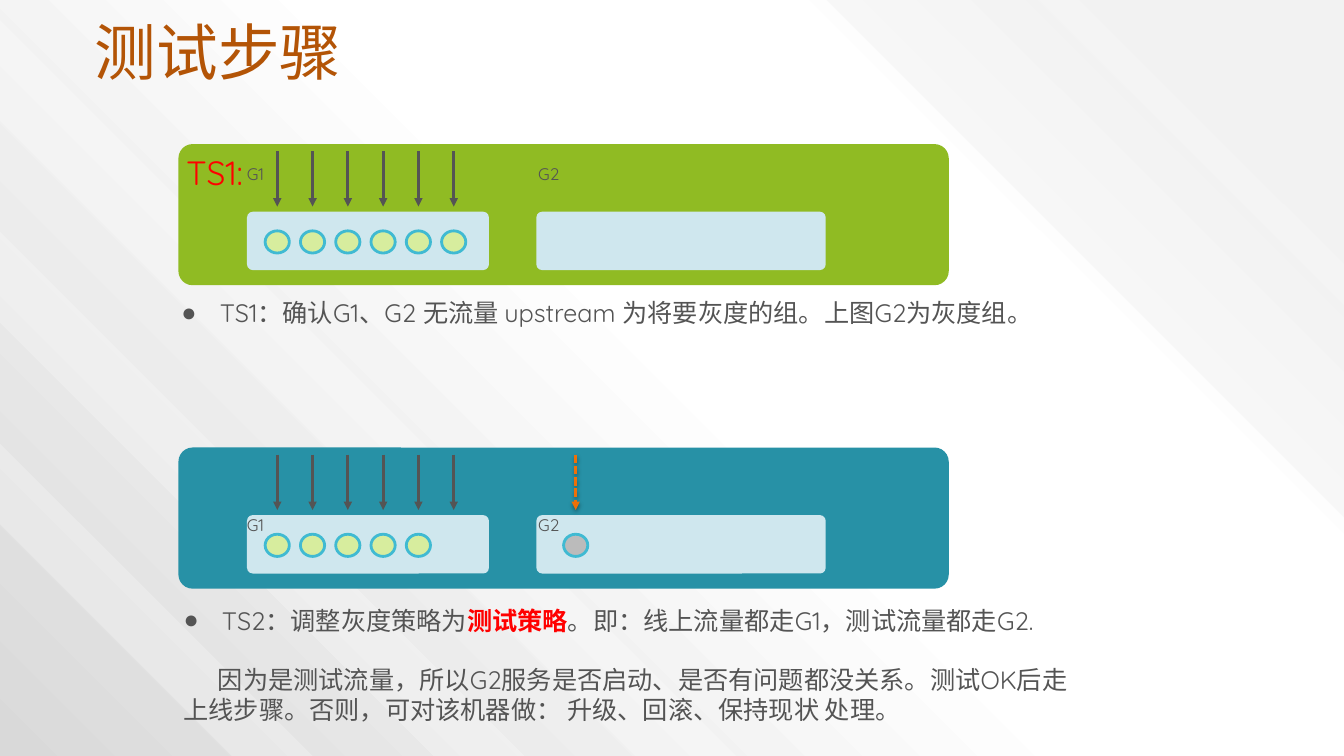
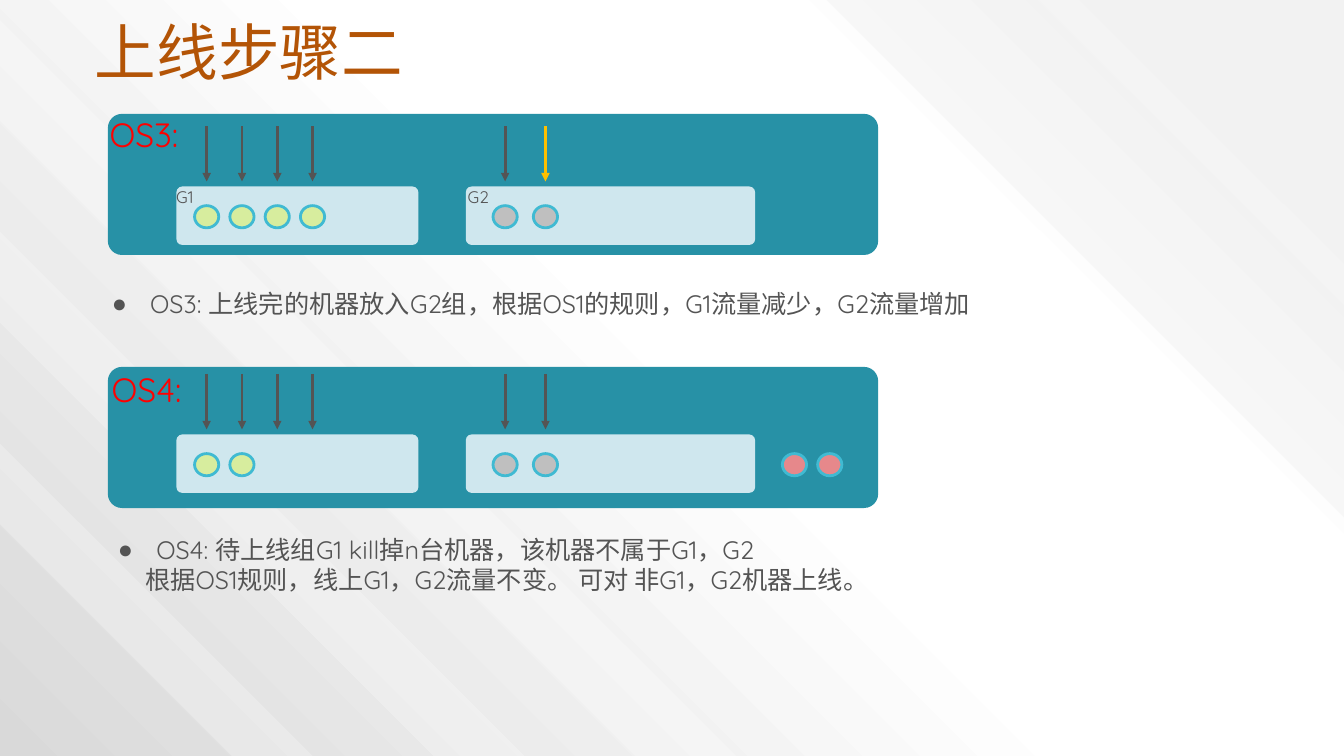
from dataclasses import dataclass
from typing import NamedTuple

from pptx import Presentation
from pptx.dml.color import RGBColor
from pptx.enum.dml import MSO_LINE
from pptx.enum.shapes import MSO_CONNECTOR, MSO_SHAPE
from pptx.enum.text import MSO_ANCHOR, MSO_AUTO_SIZE, PP_ALIGN
from pptx.oxml import parse_xml
from pptx.oxml.ns import nsdecls, qn
from pptx.util import Inches, Pt

ROUNDED = MSO_SHAPE.ROUNDED_RECTANGLE
CIRCLE = MSO_SHAPE.FLOWCHART_CONNECTOR
STRAIGHT = MSO_CONNECTOR.STRAIGHT
DASHED = MSO_LINE.SQUARE_DOT
TOP, BOTTOM = MSO_ANCHOR.TOP, MSO_ANCHOR.BOTTOM
LEFT = PP_ALIGN.LEFT
NO_FIT = MSO_AUTO_SIZE.NONE
TWO_LISTS = 3  # layout with a title and two body placeholders

WIDTH, HEIGHT = 13.33, 7.5
PANEL_WIDTH, PANEL_HEIGHT = 7.64, 1.4
GROUP_HEIGHT, GROUP_ROW = 0.58, 0.67
NODE_WIDTH, NODE_HEIGHT, NODE_ROW = 0.24, 0.22, 0.97
ARROW_ROW, ARROW_LENGTH = 0.07, 0.55
LABEL_COLUMNS = {"G1": 0.58, "G2": 3.47}
HANGING = 0.38


@dataclass(frozen=True)
class Theme:
    title: str = "B35406"
    text: str = "545454"
    alert: str = "FF0000"
    green: str = "90BB23"
    teal: str = "2791A6"
    group: str = "CFE7EE"
    ring: str = "40BAD2"
    online: str = "D7ED9E"
    testing: str = "BBBBBB"
    updated: str = "BFBFBF"
    removed: str = "E6888B"
    test_flow: str = "EE7008"
    new_flow: str = "FFC000"
    latin: str = "Quicksand"
    chinese: str = "Noto Sans CJK SC"
    title_size: int = 44
    tag_size: int = 24
    body_size: int = 18
    label_size: int = 12
    line_width: int = 2


THEME = Theme()


class Lane(NamedTuple):
    """Evenly spaced columns, measured from the left of a panel."""
    first: float
    step: float

    def column(self, index: int) -> float:
        return self.first + index * self.step


G1 = Lane(0.98, 0.35)
G2 = Lane(3.94, 0.4)
OUTSIDE = Lane(6.81, 0.35)


class Machines(NamedTuple):
    lane: Lane
    count: int
    colour: str


class Flow(NamedTuple):
    lane: Lane
    count: int
    colour: str = THEME.text
    start: int = 0
    test: bool = False


class Span(NamedTuple):
    text: str
    colour: str = THEME.text
    bold: bool = False


class Para(NamedTuple):
    spans: list[Span]
    bullet: bool = True
    indent: float = 0
    before: float = 0


class Panel(NamedTuple):
    left: float
    top: float
    colour: str
    machines: list[Machines]
    flows: list[Flow]
    tag: str = ""
    tag_offset: tuple[float, float] = (0, 0)
    label_row: float | None = None
    drop: float = 0


class Notes(NamedTuple):
    left: float
    top: float
    width: float
    height: float
    paras: list[Para]


class Page(NamedTuple):
    title: str
    panels: list[Panel]
    notes: list[Notes]


class Streak(NamedTuple):
    """Diagonal band between two values of (y - x)."""
    start: float
    end: float
    colour: str
    opacity: int


STREAKS = [
    Streak(0.2, 1.2, "FFFFFF", 25),
    Streak(2.3, 3.2, "FFFFFF", 25),
    Streak(4.4, 5.2, "FFFFFF", 25),
    Streak(-10.3, -8.2, "F2F2F2", 50),
]

PAGES = [
    Page("测试步骤", [
        Panel(1.77, 1.43, THEME.green, [Machines(G1, 6, THEME.online)],
              [Flow(G1, 6)], "TS1:", (-0.02, 0.07), 0.17),
        Panel(1.77, 4.44, THEME.teal,
              [Machines(G1, 5, THEME.online), Machines(G2, 1, THEME.testing)],
              [Flow(G1, 6), Flow(G2, 1, THEME.test_flow, test=True)],
              label_row=0.64),
    ], [
        Notes(1.7, 2.9, 9.35, 0.4, [
            Para([Span("TS1：确认G1、G2 无流量 upstream 为将要灰度的组。上图G2为灰度组。")])]),
        Notes(1.72, 5.95, 9.04, 1.31, [
            Para([Span("TS2：调整灰度策略为"), Span("测试策略", THEME.alert, True),
                  Span("。即：线上流量都走G1，测试流量都走G2.")]),
            Para([Span("因为是测试流量，所以G2服务是否启动、是否有问题都没关系。"
                       "测试OK后走上线步骤。否则，可对该机器做： 升级、回滚、保持现状 处理。")],
                 bullet=False, indent=0.34, before=21)]),
    ]),
    Page("上线步骤二", [
        Panel(1.07, 1.13, THEME.teal,
              [Machines(G1, 4, THEME.online), Machines(G2, 2, THEME.updated)],
              [Flow(G1, 4), Flow(G2, 1), Flow(G2, 1, THEME.new_flow, start=1)],
              "OS3:", (-0.08, 0), 0.7, drop=0.05),
        Panel(1.07, 3.64, THEME.teal,
              [Machines(G1, 2, THEME.online), Machines(G2, 2, THEME.updated),
               Machines(OUTSIDE, 2, THEME.removed)],
              [Flow(G1, 4), Flow(G2, 2)], "OS4:", (-0.06, 0.02)),
    ], [
        Notes(1.01, 2.81, 9.31, 0.4, [
            Para([Span("OS3: 上线完的机器放入G2组，根据OS1的规则，G1流量减少，G2流量增加")])]),
        Notes(1.07, 5.25, 9.31, 0.71, [
            Para([Span("OS4: 待上线组G1 kill掉n台机器，该机器不属于G1，G2")]),
            Para([Span("根据OS1规则，线上G1，G2流量不变。 可对 非G1，G2机器上线。")],
                 bullet=False, indent=0.27)]),
    ]),
]


def set_background(master) -> None:
    """Radial gradient that starts at the top right corner."""
    stops = "".join(
        f'<a:gs pos="{share * 1000}"><a:srgbClr val="{colour}"/></a:gs>'
        for share, colour in [(10, "F2F2F2"), (28, "FFFFFF"), (48, "FFFFFF"), (100, "D9D9D9")])
    content = master.element.find(qn("p:cSld"))
    previous = content.find(qn("p:bg"))
    if previous is not None:
        content.remove(previous)
    content.insert(0, parse_xml(
        f'<p:bg {nsdecls("p", "a")}><p:bgPr><a:gradFill><a:gsLst>{stops}</a:gsLst>'
        '<a:path path="circle"><a:fillToRect l="100000" b="100000"/></a:path>'
        '</a:gradFill><a:effectLst/></p:bgPr></p:bg>'))


def place(shape, left: float, top: float, width: float, height: float) -> None:
    shape.left, shape.top = Inches(left), Inches(top)
    shape.width, shape.height = Inches(width), Inches(height)


def add_span(para, text: str, *, size: int, colour: str = THEME.text,
             latin: str = THEME.latin, bold: bool = False) -> None:
    span = para.add_run()
    span.text = text
    span.font.size, span.font.bold, span.font.name = Pt(size), bold, latin
    span.font.color.rgb = RGBColor.from_string(colour)
    span.font.element.append(parse_xml(
        f'<a:ea {nsdecls("a")} typeface="{THEME.chinese}"/>')) if hasattr(
        span.font, "element") else span._r.get_or_add_rPr().append(parse_xml(
            f'<a:ea {nsdecls("a")} typeface="{THEME.chinese}"/>'))


def add_label(shapes, text: str, left: float, top: float, width: float,
              height: float, *, size: int, colour: str) -> None:
    box = shapes.add_textbox(Inches(left), Inches(top), Inches(width), Inches(height))
    box.text_frame.word_wrap = False
    para = box.text_frame.paragraphs[0]
    para.line_spacing = 0.9
    add_span(para, text, size=size, colour=colour)


def add_block(shapes, preset, left: float, top: float, width: float,
              height: float, colour: str, ring: str | None = None) -> None:
    block = shapes.add_shape(preset, Inches(left), Inches(top), Inches(width), Inches(height))
    block.shadow.inherit = False
    block.fill.solid()
    block.fill.fore_color.rgb = RGBColor.from_string(colour)
    if preset == ROUNDED:
        block.adjustments[0] = 0.1
    if ring:
        block.line.color.rgb = RGBColor.from_string(ring)
        block.line.width = Pt(THEME.line_width)
    else:
        block.line.fill.background()


def add_arrow(shapes, column: float, top: float, flow: Flow) -> None:
    arrow = shapes.add_connector(STRAIGHT, Inches(column), Inches(top),
                                 Inches(column), Inches(top + ARROW_LENGTH))
    arrow.line.color.rgb = RGBColor.from_string(flow.colour)
    arrow.line.width = Pt(THEME.line_width)
    shadow = ""
    if flow.test:
        arrow.line.dash_style = DASHED
        shadow = (f'<a:outerShdw blurRad="{Pt(3.1)}" dist="{Pt(1.6)}" dir="5400000">'
                  '<a:srgbClr val="000000"><a:alpha val="38000"/></a:srgbClr></a:outerShdw>')
    properties = arrow.element.spPr
    properties.find(qn("a:ln")).append(parse_xml(
        f'<a:tailEnd {nsdecls("a")} type="triangle"/>'))
    properties.append(parse_xml(
        f'<a:effectLst {nsdecls("a")}>{shadow}</a:effectLst>'))


def add_panel(page, panel: Panel) -> None:
    shapes = page.shapes.add_group_shape().shapes
    left, top = panel.left, panel.top
    inner_top = top + panel.drop
    add_block(shapes, ROUNDED, left, top, PANEL_WIDTH, PANEL_HEIGHT, panel.colour)
    for offset, width in [(0.68, 2.4), (3.55, 2.87)]:
        add_block(shapes, ROUNDED, left + offset, inner_top + GROUP_ROW,
                  width, GROUP_HEIGHT, THEME.group)
    for lane, count, colour in panel.machines:
        for index in range(count):
            add_block(shapes, CIRCLE, left + lane.column(index) - NODE_WIDTH / 2,
                      inner_top + NODE_ROW - NODE_HEIGHT / 2,
                      NODE_WIDTH, NODE_HEIGHT, colour, THEME.ring)
    for flow in panel.flows:
        for index in range(flow.start, flow.start + flow.count):
            add_arrow(shapes, left + flow.lane.column(index), inner_top + ARROW_ROW, flow)
    if panel.tag:
        across, down = panel.tag_offset
        add_label(shapes, panel.tag, left + across, top + down, 0.94, 0.46,
                  size=THEME.tag_size, colour=THEME.alert)
    if panel.label_row is not None:
        for name, column in LABEL_COLUMNS.items():
            add_label(shapes, name, left + column, top + panel.label_row, 0.44, 0.28,
                      size=THEME.label_size, colour=THEME.text)


def add_notes(placeholder, notes: Notes) -> None:
    place(placeholder, notes.left, notes.top, notes.width, notes.height)
    frame = placeholder.text_frame
    frame.auto_size, frame.vertical_anchor, frame.word_wrap = NO_FIT, TOP, True
    for index, item in enumerate(notes.paras):
        para = frame.add_paragraph() if index else frame.paragraphs[0]
        para.space_before, para.space_after, para.line_spacing = Pt(item.before), Pt(0), 1.0
        properties = para._p.get_or_add_pPr()
        margin, indent = (HANGING, -HANGING) if item.bullet else (0, item.indent)
        properties.set("marL", str(Inches(margin)))
        properties.set("indent", str(Inches(indent)))
        mark = 'buChar {} char="●"' if item.bullet else "buNone {}"
        properties.append(parse_xml(f'<a:{mark.format(nsdecls("a"))}/>'))
        for text, colour, bold in item.spans:
            add_span(para, text, size=THEME.body_size, colour=colour, bold=bold)


def edge_ends(offset: float) -> list[tuple[int, int]]:
    """Where the line y = x + offset enters and leaves the slide."""
    last = min(WIDTH, HEIGHT - offset)
    first = max(0, -offset)
    return [(Inches(x), Inches(x + offset)) for x in (first, last)]


def add_streak(page, streak: Streak) -> None:
    start, *others = edge_ends(streak.start) + edge_ends(streak.end)[::-1]
    builder = page.shapes.build_freeform(*start)
    builder.add_line_segments(others)
    band = builder.convert_to_shape()
    band.shadow.inherit = False
    band.line.fill.background()
    band.fill.solid()
    band.fill.fore_color.rgb = RGBColor.from_string(streak.colour)
    band.element.spPr.find(qn("a:solidFill"))[0].append(parse_xml(
        f'<a:alpha {nsdecls("a")} val="{streak.opacity * 1000}"/>'))
    band.element.getparent().insert(2, band.element)  # behind the placeholders


def add_page(deck, content: Page) -> None:
    page = deck.slides.add_slide(deck.slide_layouts[TWO_LISTS])
    title, *lists = page.placeholders
    for streak in STREAKS:
        add_streak(page, streak)
    place(title, 0.84, 0.11, WIDTH * 0.8, HEIGHT * 0.11)
    title.text_frame.vertical_anchor = BOTTOM
    title.text_frame.auto_size = NO_FIT
    heading = title.text_frame.paragraphs[0]
    heading.alignment, heading.line_spacing = LEFT, 0.9
    add_span(heading, content.title, size=THEME.title_size, colour=THEME.title,
             latin=THEME.chinese)
    for placeholder, notes in zip(lists, content.notes):
        add_notes(placeholder, notes)
    for panel in content.panels:
        add_panel(page, panel)


def main() -> None:
    deck = Presentation()
    deck.slide_width, deck.slide_height = Inches(WIDTH), Inches(HEIGHT)
    set_background(deck.slide_master)
    for content in PAGES:
        add_page(deck, content)
    deck.save("out.pptx")


if __name__ == "__main__":
    main()
